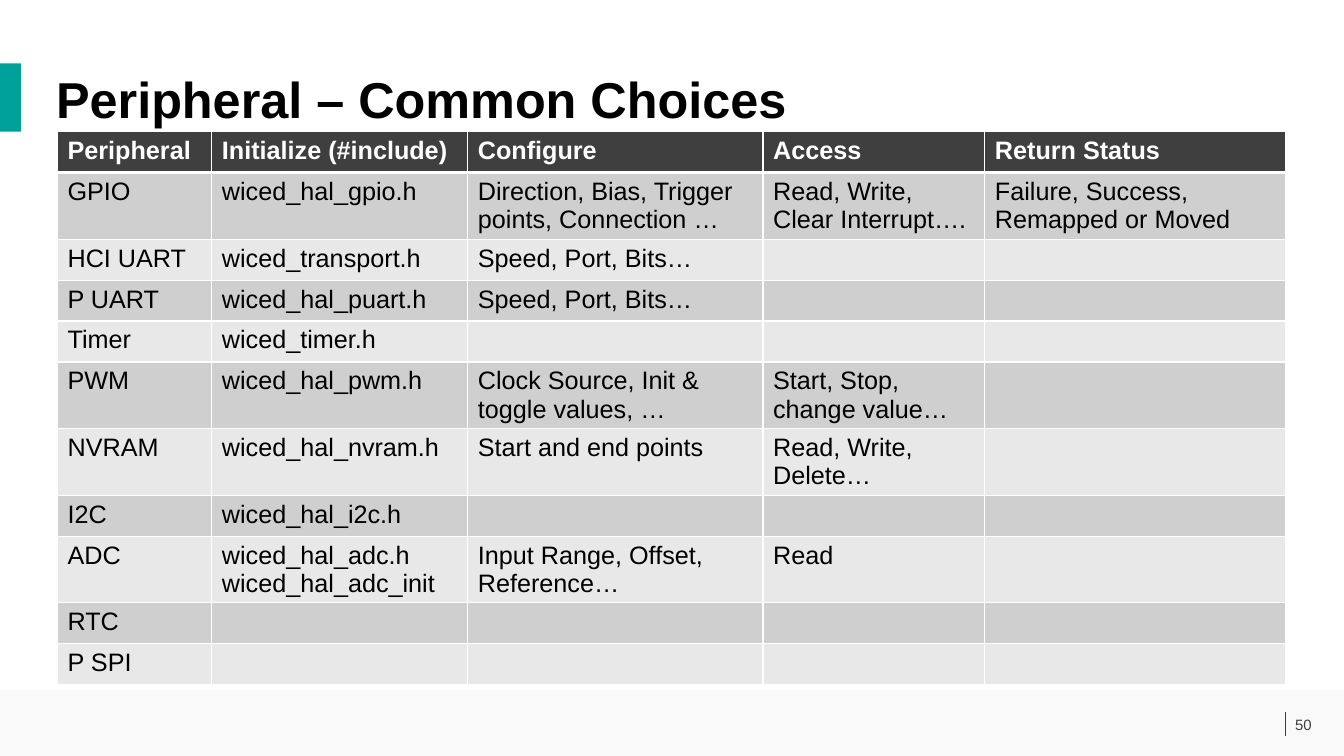
from typing import NamedTuple

from lxml.etree import SubElement
from pptx import Presentation
from pptx.dml.color import RGBColor
from pptx.enum.shapes import MSO_CONNECTOR, MSO_SHAPE
from pptx.enum.text import MSO_ANCHOR, PP_ALIGN
from pptx.oxml.ns import qn
from pptx.slide import Slide
from pptx.table import _Cell as Cell
from pptx.text.text import TextFrame
from pptx.util import Cm, Pt

WHITE = RGBColor(0xFF, 0xFF, 0xFF)
BLACK = RGBColor(0, 0, 0)
CHARCOAL = RGBColor(0x3F, 0x3F, 0x3F)
TEAL = RGBColor(0x00, 0xA1, 0x9B)
FOOTER_GREY = RGBColor(0xF9, 0xF9, 0xF9)
ROW_FILLS = (RGBColor(0xCF, 0xCF, 0xCF), RGBColor(0xE8, 0xE8, 0xE8))

SINGLE_ROW, DOUBLE_ROW = Cm(1.03), Cm(1.68)
COLUMN_WIDTHS = (Cm(3.89), Cm(6.45), Cm(7.44), Cm(5.59), Cm(7.59))
HEADINGS = ("Peripheral", "Initialize (#include)", "Configure", "Access", "Return Status")


class Peripheral(NamedTuple):
    name: str
    include: str = ""
    configure: str = ""
    access: str = ""
    status: str = ""
    height: Cm = SINGLE_ROW


class Band(NamedTuple):
    left: Cm
    top: Cm
    width: Cm
    height: Cm
    color: RGBColor


PERIPHERALS = (
    Peripheral("GPIO", "wiced_hal_gpio.h", "Direction, Bias, Trigger points, Connection …",
               "Read, Write, Clear Interrupt….", "Failure, Success, Remapped or Moved",
               height=DOUBLE_ROW),
    Peripheral("HCI UART", "wiced_transport.h", "Speed, Port, Bits…"),
    Peripheral("P UART", "wiced_hal_puart.h", "Speed, Port, Bits…"),
    Peripheral("Timer", "wiced_timer.h"),
    Peripheral("PWM", "wiced_hal_pwm.h", "Clock Source, Init & toggle values, …",
               "Start, Stop, change value…", height=DOUBLE_ROW),
    Peripheral("NVRAM", "wiced_hal_nvram.h", "Start and end points",
               "Read, Write, Delete…", height=DOUBLE_ROW),
    Peripheral("I2C", "wiced_hal_i2c.h"),
    Peripheral("ADC", "wiced_hal_adc.h\nwiced_hal_adc_init",
               "Input Range, Offset, Reference…", "Read", height=DOUBLE_ROW),
    Peripheral("RTC"),
    Peripheral("P SPI"),
)
BANDS = (
    Band(Cm(0), Cm(17.4), Cm(33.87), Cm(1.65), FOOTER_GREY),
    Band(Cm(0), Cm(1.6), Cm(0.53), Cm(1.72), TEAL),
)


def write_text(frame: TextFrame, text: str, *, size: float = 18,
               color: RGBColor = BLACK, bold: bool = False) -> None:
    frame.text = text
    frame.word_wrap = True
    for paragraph in frame.paragraphs:
        for run in paragraph.runs:
            run.font.name, run.font.size, run.font.bold = "Arial", Pt(size), bold
            run.font.color.rgb = color


def draw_band(slide: Slide, band: Band) -> None:
    shape = slide.shapes.add_shape(MSO_SHAPE.RECTANGLE, band.left, band.top,
                                   band.width, band.height)
    shape.shadow.inherit = False
    shape.fill.solid()
    shape.fill.fore_color.rgb = band.color
    shape.line.fill.background()


def draw_title(slide: Slide) -> None:
    title = slide.shapes.title
    title.left, title.top, title.width, title.height = Cm(1.16), Cm(1.75), Cm(31.55), Cm(1.55)
    title.text_frame.vertical_anchor = MSO_ANCHOR.TOP
    write_text(title.text_frame, "Peripheral – Common Choices", size=36, bold=True)
    paragraph = title.text_frame.paragraphs[0]
    paragraph.alignment = PP_ALIGN.LEFT
    paragraph.line_spacing = 0.9


def draw_page_number(slide: Slide) -> None:
    left = Cm(32.39)
    line = slide.shapes.add_connector(MSO_CONNECTOR.STRAIGHT, left, Cm(17.93), left, Cm(18.54))
    line.line.color.rgb = CHARCOAL
    line.line.width = Pt(0.5)
    SubElement(line._element.spPr, qn("a:effectLst"))
    box = slide.shapes.add_textbox(left, Cm(17.88), Cm(1.47), Cm(0.76))
    box.text_frame.vertical_anchor = MSO_ANCHOR.MIDDLE
    write_text(box.text_frame, "50", size=10.7, color=CHARCOAL)


def format_cell(cell: Cell, fill: RGBColor, top: float, bottom: float) -> None:
    """Fill the cell and give it white borders, with top and bottom widths in points."""
    properties = cell._tc.get_or_add_tcPr()
    for side, width in (("L", 1), ("R", 1), ("T", top), ("B", bottom)):
        border = SubElement(properties, qn(f"a:ln{side}"), w=str(Pt(width)))
        solid = SubElement(border, qn("a:solidFill"))
        SubElement(solid, qn("a:srgbClr"), val=str(WHITE))
    cell.margin_bottom = Cm(0)
    cell.fill.solid()
    cell.fill.fore_color.rgb = fill


def draw_table(slide: Slide) -> None:
    heights = [SINGLE_ROW] + [peripheral.height for peripheral in PERIPHERALS]
    rows = [HEADINGS] + [peripheral[:len(HEADINGS)] for peripheral in PERIPHERALS]
    table = slide.shapes.add_table(len(rows), len(HEADINGS), Cm(1.45), Cm(3.32),
                                   sum(COLUMN_WIDTHS), sum(heights)).table
    for column, width in zip(table.columns, COLUMN_WIDTHS):
        column.width = width
    for index, (texts, height) in enumerate(zip(rows, heights)):
        header = index == 0
        table.rows[index].height = height
        fill = CHARCOAL if header else ROW_FILLS[(index - 1) % 2]
        for cell, text in zip(table.rows[index].cells, texts):
            write_text(cell.text_frame, text, color=WHITE if header else BLACK, bold=header)
            format_cell(cell, fill, top=3 if index == 1 else 1, bottom=3 if header else 1)


def main() -> None:
    presentation = Presentation()
    presentation.slide_width, presentation.slide_height = Cm(33.87), Cm(19.05)
    slide = presentation.slides.add_slide(presentation.slide_layouts[5])
    for band in BANDS:
        draw_band(slide, band)
    draw_page_number(slide)
    draw_title(slide)
    draw_table(slide)
    presentation.save("out.pptx")


if __name__ == "__main__":
    main()
